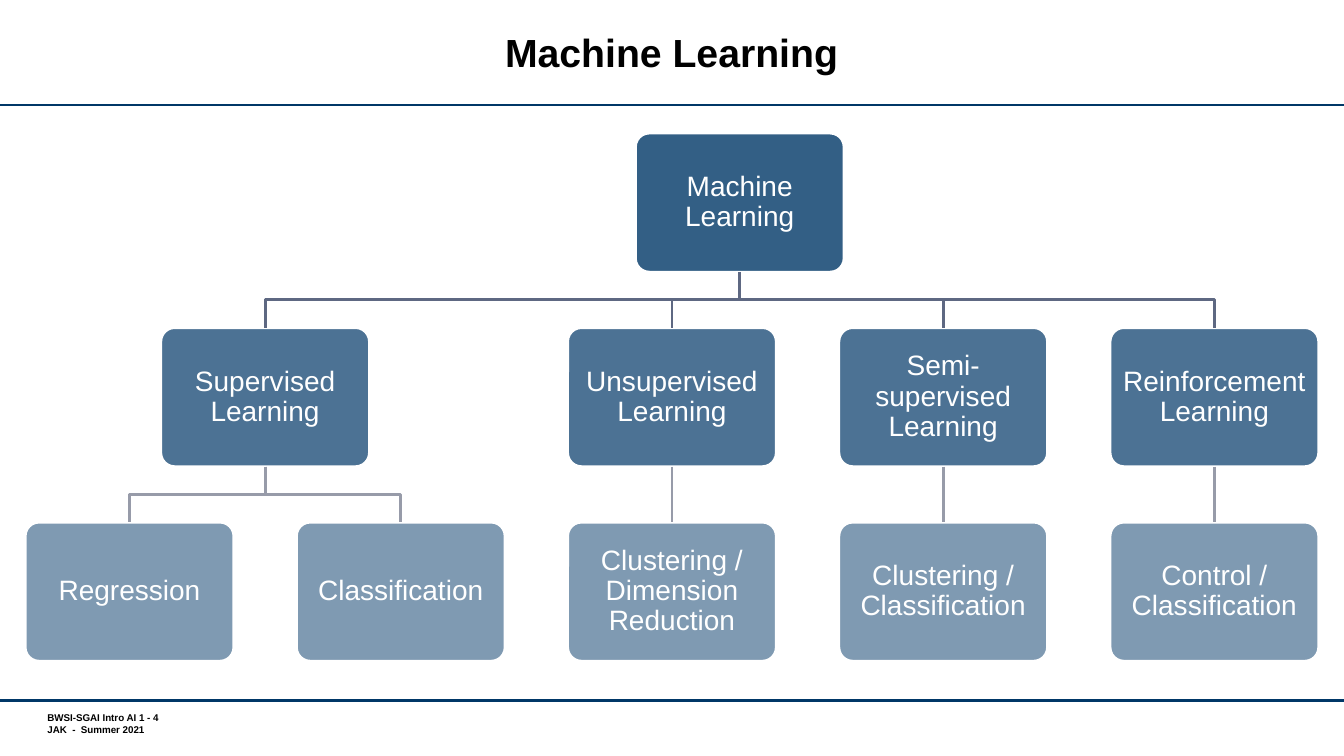
import dataclasses

import lxml.etree
import pptx
import pptx.dml.color
import pptx.enum.shapes
import pptx.enum.text
import pptx.oxml.ns
import pptx.util

Inches = pptx.util.Inches
Pt = pptx.util.Pt
ALIGN = pptx.enum.text.PP_ALIGN
ANCHOR = pptx.enum.text.MSO_ANCHOR


@dataclasses.dataclass
class Theme:
    font: str = "Arial"
    navy: str = "003767"
    white: str = "FFFFFF"
    black: str = "000000"
    opacities: tuple = (80, 70, 50)  # box fill per tree level
    link_colors: tuple = ("5E6882", "979BA9")  # links below each level
    title_size: int = 28
    box_size: int = 20
    footer_size: int = 7
    rule_width: float = 1.75
    outline_width: float = 2


def rgb(color):
    return pptx.dml.color.RGBColor.from_string(color)


# Tree layout: columns and levels are evenly spaced
LEFT, COLUMN_STEP = 0.25, 2.69
TOP, LEVEL_STEP = 1.32, 1.93
BOX_WIDTH, BOX_HEIGHT = 2.07, 1.38

BRANCHES = [
    ("Supervised Learning", ["Regression", "Classification"]),
    ("Unsupervised Learning", ["Clustering / Dimension Reduction"]),
    ("Semi-supervised Learning", ["Clustering / Classification"]),
    ("Reinforcement Learning", ["Control / Classification"]),
]


class SlideBuilder:
    def __init__(self, slide, theme):
        self.slide = slide
        self.theme = theme

    def set_text(self, shape, text, size, color, inset, bold=False,
                 align=ALIGN.LEFT, anchor=ANCHOR.TOP, spacing=None):
        frame = shape.text_frame
        frame.text = text
        frame.word_wrap = True
        frame.vertical_anchor = anchor
        frame.margin_left = frame.margin_right = Inches(inset[0])
        frame.margin_top = frame.margin_bottom = Inches(inset[1])
        for para in frame.paragraphs:
            para.alignment = align
            para.line_spacing = spacing
            for span in para.runs:
                span.font.name = self.theme.font
                span.font.size = Pt(size)
                span.font.bold = bold
                span.font.color.rgb = rgb(color)

    def text(self, left, top, width, height, text, size, inset=(0, 0), **style):
        box = self.slide.shapes.add_textbox(
            Inches(left), Inches(top), Inches(width), Inches(height))
        self.set_text(box, text, size, self.theme.black, inset, bold=True, **style)

    def line(self, start, end, color, width):
        line = self.slide.shapes.add_connector(
            pptx.enum.shapes.MSO_CONNECTOR.STRAIGHT,
            Inches(start[0]), Inches(start[1]), Inches(end[0]), Inches(end[1]))
        line.line.color.rgb = rgb(color)
        line.line.width = Pt(width)
        properties = line._element.spPr
        lxml.etree.SubElement(properties, pptx.oxml.ns.qn("a:effectLst"))
        return line

    def rule(self, top):
        self.line((0, top), (13.33, top), self.theme.navy, self.theme.rule_width)

    def box(self, text, column, level):
        box = self.slide.shapes.add_shape(
            pptx.enum.shapes.MSO_SHAPE.ROUNDED_RECTANGLE,
            Inches(LEFT + column * COLUMN_STEP), Inches(TOP + level * LEVEL_STEP),
            Inches(BOX_WIDTH), Inches(BOX_HEIGHT))
        box.adjustments[0] = 0.1
        box.shadow.inherit = False
        box.fill.solid()
        box.fill.fore_color.rgb = rgb(self.theme.navy)
        fill_color = box._element.spPr.find(".//" + pptx.oxml.ns.qn("a:srgbClr"))
        alpha = lxml.etree.SubElement(fill_color, pptx.oxml.ns.qn("a:alpha"))
        alpha.set("val", str(self.theme.opacities[level] * 1000))
        box.line.color.rgb = rgb(self.theme.white)
        box.line.width = Pt(self.theme.outline_width)
        self.set_text(box, text, self.theme.box_size, self.theme.white, (0.08, 0.08),
                      align=ALIGN.CENTER, anchor=ANCHOR.MIDDLE, spacing=0.9)
        return box

    def link(self, parent, child, parent_column, child_column, level):
        """Join a parent to a child: straight in one column, else bent."""
        color, width = self.theme.link_colors[level], self.theme.outline_width
        start_x, end_x = (LEFT + column * COLUMN_STEP + BOX_WIDTH / 2
                          for column in (parent_column, child_column))
        start_y = TOP + level * LEVEL_STEP + BOX_HEIGHT
        end_y = TOP + (level + 1) * LEVEL_STEP
        if parent_column == child_column:
            line = self.line((start_x, start_y), (end_x, end_y), color, width)
            line.begin_connect(parent, 2)
            line.end_connect(child, 0)
            return
        middle_y = (start_y + end_y) / 2
        builder = self.slide.shapes.build_freeform(Inches(start_x), Inches(start_y))
        corners = [(start_x, middle_y), (end_x, middle_y), (end_x, end_y)]
        builder.add_line_segments(
            [(Inches(x), Inches(y)) for x, y in corners], close=False)
        bend = builder.convert_to_shape()
        bend.shadow.inherit = False
        bend.fill.background()
        bend.line.color.rgb = rgb(color)
        bend.line.width = Pt(width)


def main():
    deck = pptx.Presentation()
    deck.slide_width, deck.slide_height = Inches(13.33), Inches(7.5)
    page = SlideBuilder(deck.slides.add_slide(deck.slide_layouts[6]), Theme())

    # Title, rules and footer
    page.rule(1.04)
    page.text(0.47, 7.06, 1.59, 0.24,
              "BWSI-SGAI Intro AI 1 - 4\nJAK  -  Summer 2021", page.theme.footer_size)
    page.rule(6.95)
    page.text(1.37, 0.11, 10.58, 0.89, "Machine Learning", page.theme.title_size,
              inset=(0.1, 0.05), align=ALIGN.CENTER, anchor=ANCHOR.MIDDLE,
              spacing=Pt(28))

    # Place every branch above the middle of its leaves
    branch_columns, first = [], 0
    for _, leaves in BRANCHES:
        branch_columns.append(first + (len(leaves) - 1) / 2)
        first += len(leaves)
    root_column = (branch_columns[0] + branch_columns[-1]) / 2

    # Tree of learning types
    root = page.box("Machine Learning", root_column, 0)
    leaf_column = 0
    for (name, leaves), column in zip(BRANCHES, branch_columns):
        branch = page.box(name, column, 1)
        page.link(root, branch, root_column, column, 0)
        for leaf_name in leaves:
            leaf = page.box(leaf_name, leaf_column, 2)
            page.link(branch, leaf, column, leaf_column, 1)
            leaf_column += 1

    deck.save("out.pptx")


if __name__ == "__main__":
    main()
